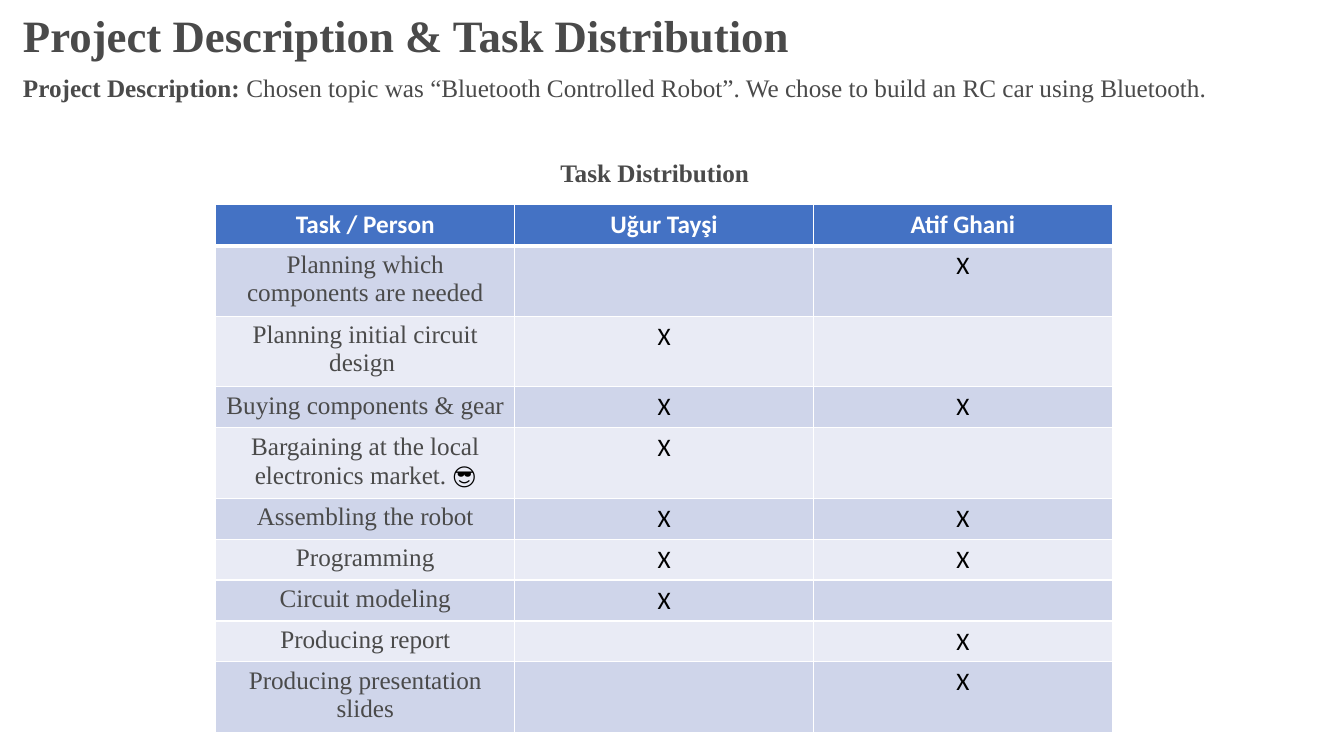
from lxml import etree
from pptx import Presentation
from pptx.dml.color import RGBColor
from pptx.enum.text import MSO_AUTO_SIZE, PP_ALIGN
from pptx.oxml.ns import qn
from pptx.util import Cm, Pt

# Content
SERIF, SANS = "Times New Roman", "Calibri"
GREY, BLACK, WHITE = "4A4A4A", "000000", "FFFFFF"
HEADER_FILL, BANDS = "4472C4", ("CFD5EA", "E9EBF5")

# left, top, width, height in cm; size; runs of (text, bold)
TEXTS = [
    (0.33, 0.08, 27.58, 1.62, 32, [("Project Description & Task Distribution", True)]),
    (0.33, 1.7, 31.72, 1.03, 18, [
        ("Project Description: ", True),
        ("Chosen topic was “Bluetooth Controlled Robot”. "
         "We chose to build an RC car using Bluetooth.", False)]),
    (13.87, 3.84, 5.72, 1.03, 18, [("Task Distribution", True)]),
]
HEADER = ("Task / Person", "Uğur Tayşi", "Atif Ghani")
# task, emoji after it, mark of each person
TASKS = [
    ("Planning which components are needed", "", "", "X"),
    ("Planning initial circuit design ", "", "X", ""),
    ("Buying components & gear", "", "X", "X"),
    ("Bargaining at the local electronics market. ", "😎", "X", ""),
    ("Assembling the robot", "", "X", "X"),
    ("Programming", "", "X", "X"),
    ("Circuit modeling", "", "X", ""),
    ("Producing report", "", "", "X"),
    ("Producing presentation slides", "", "", "X"),
]
TABLE_LEFT, TABLE_TOP = 5.44, 5.16
COLUMN_WIDTH, ROW_HEIGHT = 7.53, 1.03


def color(code):
    return RGBColor.from_string(code)


def add_span(para, text, size, face, ink, bold=False):
    span = para.add_run()
    span.text = text
    span.font.size = Pt(size)
    span.font.name = face
    span.font.bold = bold
    span.font.color.rgb = color(ink)


def add_border(cell, side, width):
    props = cell._tc.get_or_add_tcPr()
    line = etree.SubElement(props, qn(f"a:{side}"), w=str(Pt(width)))
    fill = etree.SubElement(line, qn("a:solidFill"))
    etree.SubElement(fill, qn("a:srgbClr"), val=WHITE)


def fill_cell(cell, row, spans):
    # The line under the header is thicker
    widths = {"lnL": 1, "lnR": 1, "lnT": 3 if row == 1 else 1, "lnB": 3 if row == 0 else 1}
    for side, width in widths.items():
        add_border(cell, side, width)
    cell.fill.solid()
    cell.fill.fore_color.rgb = color(BANDS[(row - 1) % 2] if row else HEADER_FILL)
    para = cell.text_frame.paragraphs[0]
    para.alignment = PP_ALIGN.CENTER
    para.font.size = Pt(18)
    for text, face, ink in spans:
        if text:
            add_span(para, text, 18, face, ink, bold=row == 0)


deck = Presentation()
deck.slide_width, deck.slide_height = Cm(33.87), Cm(19.05)
page = deck.slides.add_slide(deck.slide_layouts[6])

# Headings and description
for left, top, width, height, size, spans in TEXTS:
    box = page.shapes.add_textbox(Cm(left), Cm(top), Cm(width), Cm(height))
    box.text_frame.word_wrap = True
    box.text_frame.auto_size = MSO_AUTO_SIZE.SHAPE_TO_FIT_TEXT
    for text, bold in spans:
        add_span(box.text_frame.paragraphs[0], text, size, SERIF, GREY, bold)

# Task table
rows = [[[(name, SANS, WHITE)] for name in HEADER]]
for task, emoji, *marks in TASKS:
    rows.append([[(task, SERIF, GREY), (emoji, SANS, BLACK)]]
                + [[(mark, SANS, BLACK)] for mark in marks])

table = page.shapes.add_table(
    len(rows), len(HEADER), Cm(TABLE_LEFT), Cm(TABLE_TOP),
    Cm(COLUMN_WIDTH * len(HEADER)), Cm(ROW_HEIGHT * len(rows))).table
for column in table.columns:
    column.width = Cm(COLUMN_WIDTH)
for r, row in enumerate(rows):
    table.rows[r].height = Cm(ROW_HEIGHT)
    for c, spans in enumerate(row):
        fill_cell(table.cell(r, c), r, spans)

deck.save("out.pptx")
